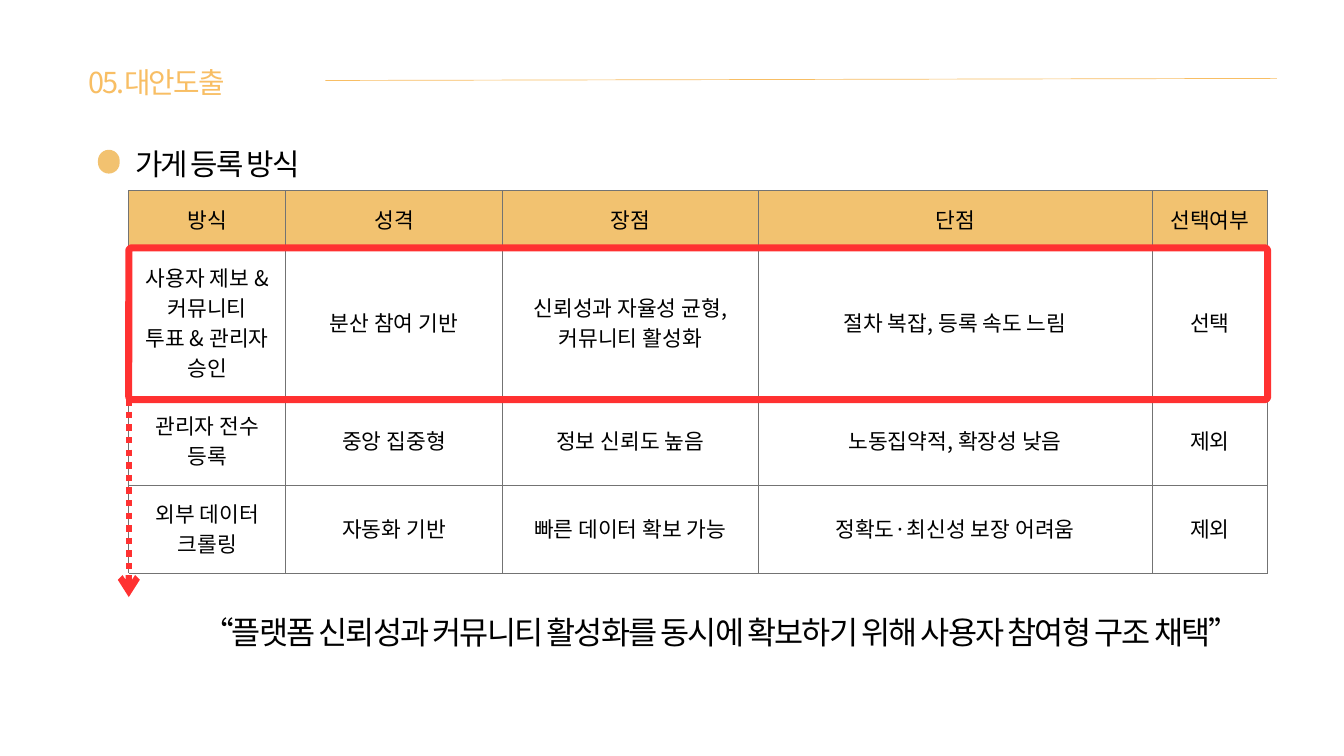
from lxml import etree
from pptx import Presentation
from pptx import util as u
from pptx.dml.color import RGBColor
from pptx.enum import dml, shapes, text
from pptx.oxml.ns import qn

BLACK = RGBColor(0x00, 0x00, 0x00)
GOLD = RGBColor(0xF8, 0xBE, 0x64)
SAND = RGBColor(0xF2, 0xC2, 0x70)
RED = RGBColor(0xFF, 0x31, 0x31)
GRAY = RGBColor(0x73, 0x73, 0x73)
FONT = "Noto Sans CJK KR"
LEFT, CENTER = text.PP_ALIGN.LEFT, text.PP_ALIGN.CENTER


def px(n):
    """96 px to the inch."""
    return u.Emu(n * 9525)


def write(tf, content, size=23, color=BLACK, leading=32.2, spacing=0, align=CENTER):
    """Fill a text frame, one paragraph per line of content."""
    for i, line in enumerate(content.split("\n")):
        p = tf.paragraphs[0] if i == 0 else tf.add_paragraph()
        pPr = p._p.get_or_add_pPr()
        pPr.set("marL", "0")
        pPr.set("indent", "0")
        etree.SubElement(pPr, qn("a:buNone"))
        p.alignment = align
        p.line_spacing = u.Pt(leading)
        p.space_before = u.Pt(0)
        r = p.add_run()
        r.text = line
        f = r.font
        f.name, f.size, f.bold = FONT, u.Pt(size), False
        f.color.rgb = color
        rPr = r._r.get_or_add_rPr()
        if spacing:
            rPr.set("spc", str(round(spacing * 100)))
        etree.SubElement(rPr, qn("a:ea"), typeface=FONT)


class Deck:
    def __init__(self, width, height):
        self.prs = Presentation()
        self.prs.slide_width, self.prs.slide_height = px(width), px(height)
        self.s = self.prs.slides.add_slide(self.prs.slide_layouts[1])

    def frame(self, sp, box, content, **fmt):
        sp.left, sp.top, sp.width, sp.height = map(px, box)
        tf = sp.text_frame
        tf.margin_left = tf.margin_top = tf.margin_right = tf.margin_bottom = 0
        tf.word_wrap = True
        tf.auto_size = text.MSO_AUTO_SIZE.SHAPE_TO_FIT_TEXT
        tf.vertical_anchor = text.MSO_ANCHOR.TOP
        write(tf, content, **fmt)

    def placeholder(self, idx, box, content, **fmt):
        self.frame(self.s.placeholders[idx], box, content, **fmt)

    def textbox(self, box, content, **fmt):
        self.frame(self.s.shapes.add_textbox(*map(px, box)), box, content, **fmt)

    def rounded(self, box, radius, fill=None, line=None, weight=0):
        sp = self.s.shapes.add_shape(
            shapes.MSO_SHAPE.ROUNDED_RECTANGLE, *map(px, box))
        sp.adjustments[0] = radius
        sp.shadow.inherit = False
        if fill is None:
            sp.fill.background()
        else:
            sp.fill.solid()
            sp.fill.fore_color.rgb = fill
        if line is None:
            sp.line.fill.background()
        else:
            sp.line.color.rgb, sp.line.width = line, u.Pt(weight)
        return sp

    def line(self, x1, y1, x2, y2, color, weight, dash=None, arrow=False, start=None):
        c = self.s.shapes.add_connector(
            shapes.MSO_CONNECTOR.STRAIGHT, *map(px, (x1, y1, x2, y2)))
        c.line.color.rgb, c.line.width = color, u.Pt(weight)
        if dash is not None:
            c.line.dash_style = dash
        if arrow:
            etree.SubElement(c.line._get_or_add_ln(), qn("a:tailEnd"), type="arrow")
        etree.SubElement(c._element.spPr, qn("a:effectLst"))
        if start is not None:
            c.begin_connect(*start)

    def borders(self, cell):
        tcPr = cell._tc.get_or_add_tcPr()
        for i, side in enumerate("LRTB"):
            ln = etree.Element(qn(f"a:ln{side}"), w=str(u.Pt(0.75)))
            fill = etree.SubElement(ln, qn("a:solidFill"))
            etree.SubElement(fill, qn("a:srgbClr"), val=str(GRAY))
            tcPr.insert(i, ln)

    def table(self, x, y, cols, heights, rows):
        t = self.s.shapes.add_table(
            len(rows), len(cols), px(x), px(y), px(sum(cols)), px(sum(heights))).table
        t.first_row = t.horz_banding = False
        for col, w in zip(t.columns, cols):
            col.width = px(w)
        for i, (row, h) in enumerate(zip(rows, heights)):
            t.rows[i].height = px(h)
            for j, content in enumerate(row):
                cell = t.cell(i, j)
                cell.margin_left = cell.margin_right = px(20)
                cell.margin_top = cell.margin_bottom = px(20)
                cell.vertical_anchor = text.MSO_ANCHOR.MIDDLE
                if i == 0:
                    cell.fill.solid()
                    cell.fill.fore_color.rgb = SAND
                else:
                    cell.fill.background()
                self.borders(cell)
                write(cell.text_frame, content)


COLS = [224, 310, 365, 563, 165]
HEIGHTS = [82, 207, 124, 124]
ROWS = [
    ["방식", "성격", "장점", "단점", "선택여부"],
    ["사용자 제보 &커뮤니티\n투표 & 관리자 승인", "분산 참여 기반",
     "신뢰성과 자율성 균형, 커뮤니티 활성화", "절차 복잡, 등록 속도 느림", "선택"],
    ["관리자 전수 등록", "중앙 집중형", "정보 신뢰도 높음",
     "노동집약적, 확장성 낮음", "제외"],
    ["외부 데이터 크롤링", "자동화 기반", "빠른 데이터 확보 가능",
     "정확도·최신성 보장 어려움", "제외"],
]


def main():
    d = Deck(1920, 1080)

    # Section title with its rule
    d.line(465, 115, 1824, 112, GOLD, 0.75)
    d.placeholder(0, (126, 84, 339, 56), "05.대안도출", size=30.9, color=GOLD,
                  leading=43.3, spacing=-2, align=LEFT)

    # Topic with its round marker
    d.placeholder(1, (193, 200, 1180, 56), "가게 등록 방식", size=31.9,
                  leading=44.7, spacing=-2, align=LEFT)
    d.rounded((140, 214, 31, 34), 0.5, fill=SAND)

    # Comparison of the options
    x, y = 184, 272
    d.table(x, y, COLS, HEIGHTS, ROWS)

    # Chosen option, with the arrow down to the conclusion
    chosen = d.rounded((x, y + HEIGHTS[0], sum(COLS), 217), 0.02, line=RED, weight=7.5)
    d.line(x, 463, x, 853, RED, 6.75, dash=dml.MSO_LINE.ROUND_DOT, arrow=True,
           start=(chosen, 1))

    # Conclusion
    d.textbox((288, 867, 1484, 60),
              "“플랫폼 신뢰성과 커뮤니티 활성화를 동시에 확보하기 위해 사용자 참여형 구조 채택”",
              size=33.9, leading=47.5, spacing=-2.1)

    d.prs.save("out.pptx")


if __name__ == "__main__":
    main()
